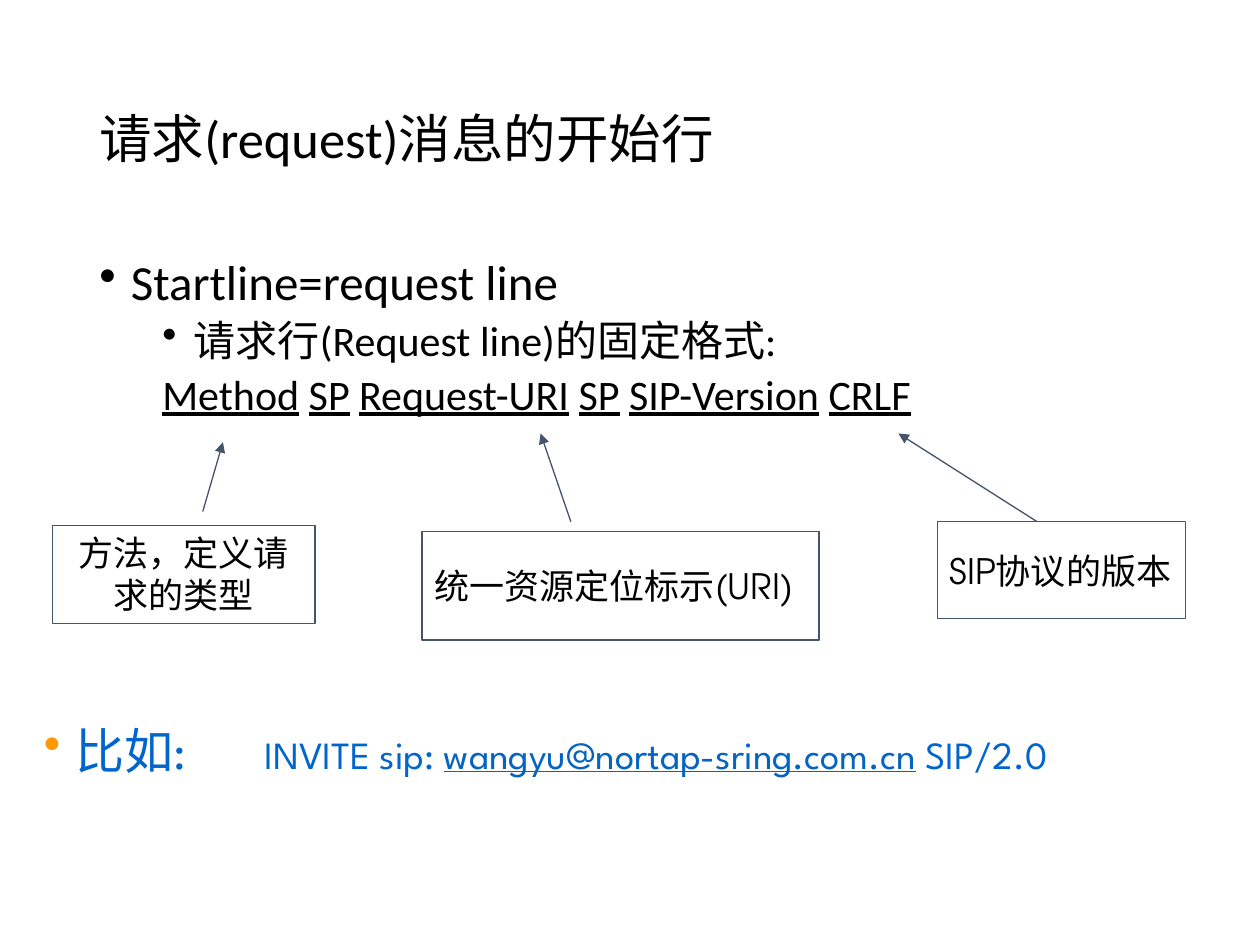
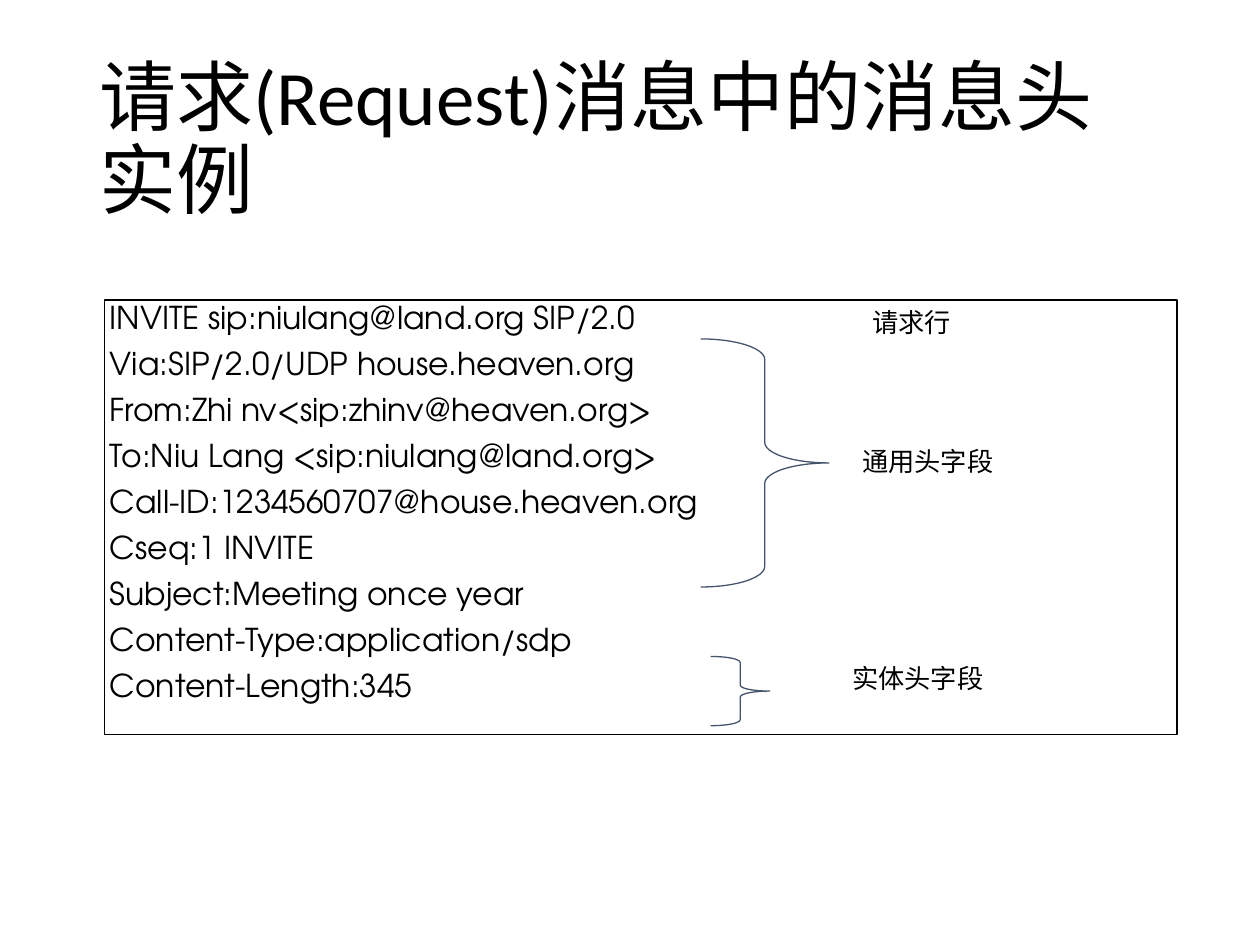
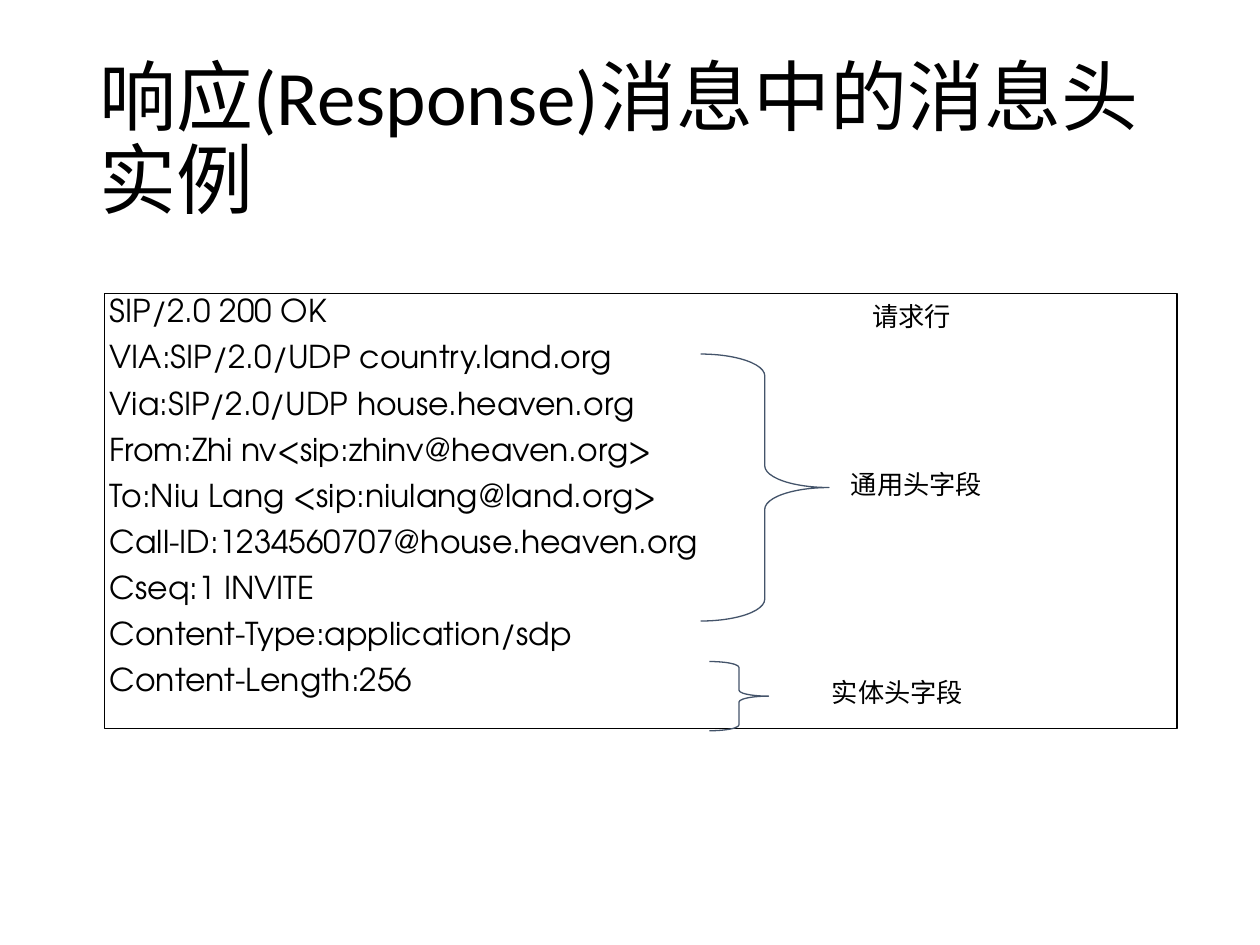
from dataclasses import dataclass
from lxml.etree import SubElement
from pptx import Presentation
from pptx.dml.color import RGBColor
from pptx.enum.shapes import MSO_CONNECTOR, MSO_SHAPE
from pptx.enum.text import MSO_ANCHOR, PP_ALIGN
from pptx.oxml.ns import qn
from pptx.util import Pt


@dataclass(frozen=True)
class Theme:
    black: str = "000000"
    slate: str = "44546A"
    blue: str = "0066CC"
    link: str = "0563C1"
    orange: str = "FF9900"
    heading: str = "Calibri"
    detail: str = "TeX Gyre Adventor"
    example: str = "League Spartan"
    title: int = 44
    small_title: int = 30
    body: int = 28
    sub: int = 24
    request: int = 22
    callout: int = 20
    field: int = 18
    label: int = 15
    line: float = 0.75


T = Theme()
TITLE_BOX = (49.7, 28.8, 620.6, 104.4)


def pts(*values):
    return [Pt(v) for v in values]


def add_run(p, text, size, font, color=T.black, underline=False):
    r = p.add_run()
    r.text = text
    r.font.size = Pt(size)
    r.font.name = font
    r.font.color.rgb = RGBColor.from_string(color)
    if underline:
        r.font.underline = True


def set_frame(tf, wrap=True, anchor=MSO_ANCHOR.TOP, inset=None):
    tf.word_wrap = wrap
    tf.vertical_anchor = anchor
    if inset is not None:
        tf.margin_left = tf.margin_top = tf.margin_right = tf.margin_bottom = Pt(inset)
    return tf


def add_text(s, box, **frame):
    return set_frame(s.shapes.add_textbox(*pts(*box)).text_frame, **frame)


def add_outline(s, kind, box, color):
    sp = s.shapes.add_shape(kind, *pts(*box))
    sp.shadow.inherit = False
    sp.fill.background()
    sp.line.color.rgb = RGBColor.from_string(color)
    sp.line.width = Pt(T.line)
    return sp


def indent(p, left, hanging, bullet=True, color=None, tab=None):
    pPr = p._p.get_or_add_pPr()
    pPr.set("marL", str(Pt(left)))
    pPr.set("indent", str(-Pt(hanging)))
    if color:
        SubElement(SubElement(pPr, qn("a:buClr")), qn("a:srgbClr"), val=color)
    if bullet:
        SubElement(pPr, qn("a:buChar"), char="•")
    if tab:
        SubElement(SubElement(pPr, qn("a:tabLst")), qn("a:tab"), pos=str(Pt(tab)), algn="l")


def add_title(s, text, size):
    p = add_text(s, TITLE_BOX, anchor=MSO_ANCHOR.MIDDLE).paragraphs[0]
    p.line_spacing = 0.9
    add_run(p, text, size, T.heading)


def add_format(s, box):
    tf = add_text(s, box)
    p = tf.paragraphs[0]
    indent(p, 18, 18)
    p.line_spacing = 0.9
    add_run(p, "Startline=request line", T.body, T.heading)

    rule, pattern = tf.add_paragraph(), tf.add_paragraph()
    for p, bullet in ((rule, True), (pattern, False)):
        indent(p, 54, 18, bullet)
        p.line_spacing = 0.9
        p.space_before = Pt(5)
    add_run(rule, "请求行(Request line)的固定格式:", T.sub, T.heading)
    for i, part in enumerate(("Method", "SP", "Request-URI", "SP", "SIP-Version", "CRLF")):
        if i:
            add_run(pattern, " ", T.sub, T.heading)
        add_run(pattern, part, T.sub, T.heading, underline=True)


def add_callout(s, box, text, start, end, wrap=False):
    sp = add_outline(s, MSO_SHAPE.RECTANGLE, box, T.slate)
    tf = set_frame(sp.text_frame, wrap, MSO_ANCHOR.TOP if wrap else MSO_ANCHOR.MIDDLE)
    p = tf.paragraphs[0]
    p.alignment = PP_ALIGN.CENTER if wrap else PP_ALIGN.LEFT
    add_run(p, text, T.callout, T.detail)

    x, y = box[:2]
    points = [v + o for point in (start, end) for v, o in zip(point, (x, y))]
    arrow = s.shapes.add_connector(MSO_CONNECTOR.STRAIGHT, *pts(*points))
    arrow.line.color.rgb = RGBColor.from_string(T.slate)
    arrow.line.width = Pt(T.line)
    SubElement(arrow.line._get_or_add_ln(), qn("a:tailEnd"), type="triangle")
    SubElement(arrow._element.spPr, qn("a:effectLst"))


def add_example(s, box):
    p = add_text(s, box).paragraphs[0]
    indent(p, 36, 18, color=T.orange, tab=144)
    add_run(p, "比如:", T.body, T.example, T.blue)
    add_run(p, "\tINVITE sip: ", T.request, T.example, T.blue)
    add_run(p, "wangyu@nortap-sring.com.cn", T.request, T.example, T.link, True)
    add_run(p, " SIP/2.0", T.request, T.example, T.blue)


def request_line_slide(prs):
    s = prs.slides.add_slide(prs.slide_layouts[6])
    add_title(s, "请求(request)消息的开始行", T.small_title)
    add_format(s, (49.7, 144, 620.6, 342.7))
    add_callout(s, (30.2, 300.2, 149.8, 56.2), "方法，定义请求的类型",
                (85.7, -7.9), (97.2, -47.5), wrap=True)
    add_callout(s, (241.2, 303.8, 226.8, 61.9), "统一资源定位标示(URI)",
                (85, -5.7), (67.7, -56.1))
    add_callout(s, (535.7, 298.1, 141.8, 55.4), "SIP协议的版本",
                (56.9, 0), (-22.3, -50.4))
    add_example(s, (0, 408.2, 702, 41))


def add_header_panel(s, box, fields, braces, labels):
    x, y = box[:2]
    sp = add_outline(s, MSO_SHAPE.RECTANGLE, box, T.black)
    tf = set_frame(sp.text_frame, inset=2.9)
    for i, field in enumerate(fields):
        p = tf.add_paragraph() if i else tf.paragraphs[0]
        p.alignment = PP_ALIGN.LEFT
        p.line_spacing = 0.8
        if i:
            p.space_before = Pt(T.field / 2)
        add_run(p, field, T.field, T.detail)

    for dx, dy, w, h, curve in braces:
        brace = add_outline(s, MSO_SHAPE.RIGHT_BRACE, (x + dx, y + dy, w, h), T.slate)
        brace.adjustments[0] = curve
        brace.adjustments[1] = 0.5

    for text, (dx, dy) in zip(("请求行", "通用头字段", "实体头字段"), labels):
        width = 14.8 + T.label * len(text)
        p = add_text(s, (x + dx, y + dy, width, 25.2), wrap=False).paragraphs[0]
        p.alignment = PP_ALIGN.CENTER
        add_run(p, text, T.label, T.detail)


def header_slide(prs, title, top, fields, braces, labels):
    s = prs.slides.add_slide(prs.slide_layouts[6])
    add_title(s, title, T.title)
    add_header_panel(s, (59.8, top, 612.7, 248.4), fields, braces, labels)


def main():
    prs = Presentation()
    prs.slide_width, prs.slide_height = pts(720, 540)
    via = "Via:SIP/2.0/UDP house.heaven.org"
    shared = [
        "From:Zhi nv<sip:zhinv@heaven.org>",
        "To:Niu Lang <sip:niulang@land.org>",
        "Call-ID:1234560707@house.heaven.org",
        "Cseq:1 INVITE",
    ]
    content = "Content-Type:application/sdp"

    request_line_slide(prs)
    header_slide(
        prs, "请求(Request)消息中的消息头实例", 171.4,
        ["INVITE sip:niulang@land.org SIP/2.0", via, *shared,
         "Subject:Meeting once year", content, "Content-Length:345"],
        [(340.5, 22.3, 73.4, 141.8, 0.16), (346.3, 203.7, 33.8, 39.6, 0.1)],
        [(431.2, 0), (425.5, 79.2), (419.7, 203.7)],
    )
    header_slide(
        prs, "响应(Response)消息中的消息头实例", 167.8,
        ["SIP/2.0 200 OK", "VIA:SIP/2.0/UDP country.land.org", via, *shared,
         content, "Content-Length:256"],
        [(340.5, 34.5, 73.4, 152.6, 0.17), (345.6, 210.2, 33.8, 39.6, 0.1)],
        [(431.2, 0), (419, 96.4), (408.2, 215.2)],
    )
    prs.save("out.pptx")


if __name__ == "__main__":
    main()
